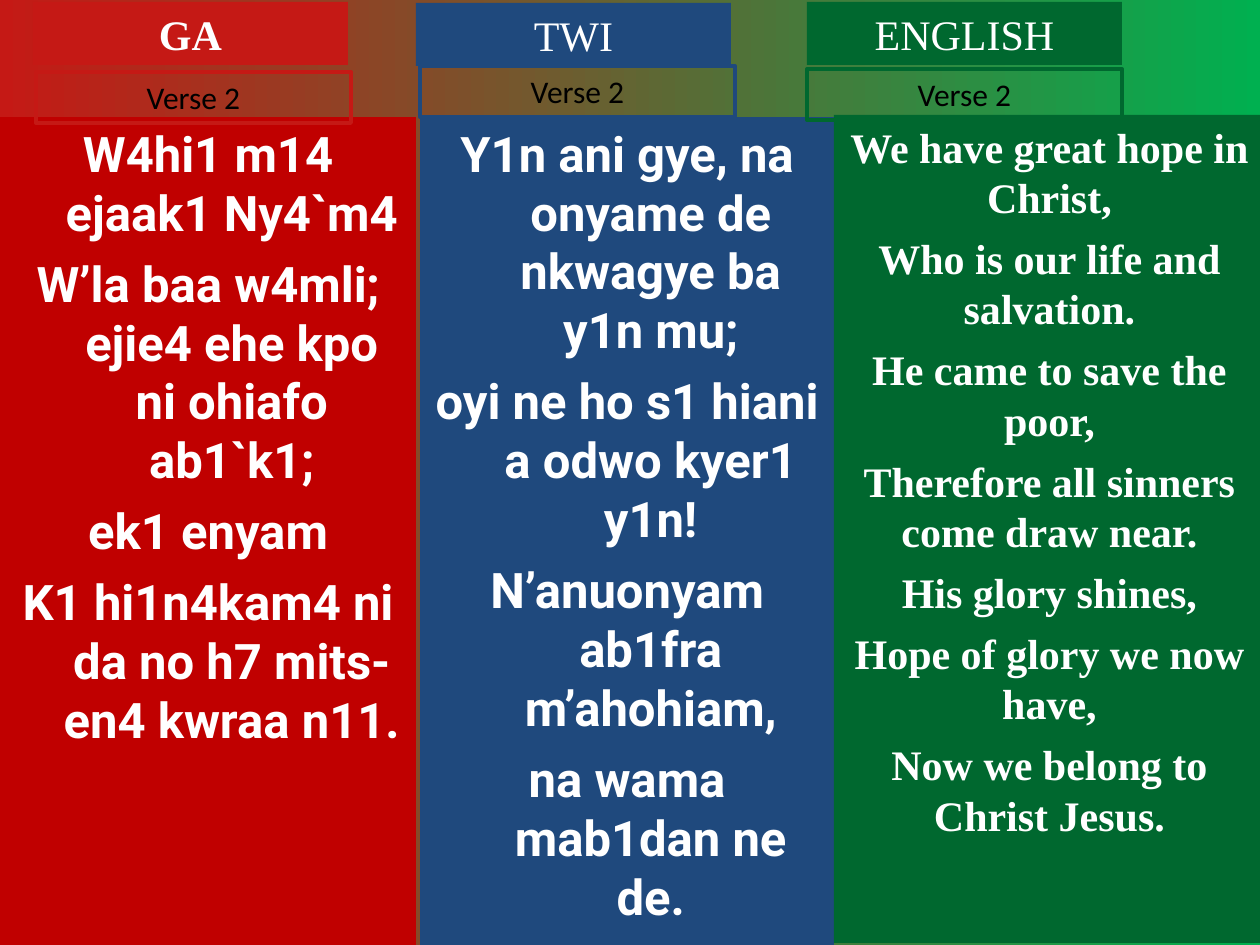
from pptx import Presentation
from pptx.dml.color import RGBColor
from pptx.enum.text import MSO_ANCHOR, MSO_AUTO_SIZE, PP_ALIGN
from pptx.oxml.ns import qn
from pptx.util import Inches, Pt
from lxml.etree import Element

PX_PER_INCH = 126
RED, BLUE, GREEN, WHITE, BLACK = "C00000", "1F497D", "00682F", "FFFFFF", "000000"
BRIGHT_RED, BRIGHT_GREEN = "C51915", "00B050"
SERIF = "Times New Roman"

GA = [
    "W4hi1 m14 ejaak1 Ny4`m4",
    "W’la baa w4mli; ejie4 ehe kpo ni ohiafo ab1`k1;",
    "ek1 enyam",
    "K1 hi1n4kam4 ni da no h7 mits- en4 kwraa n11.",
]
TWI = [
    "Y1n ani gye, na onyame de nkwagye ba y1n mu;",
    "oyi ne ho s1 hiani a odwo kyer1 y1n!",
    "N’anuonyam ab1fra m’ahohiam,",
    "na wama mab1dan ne de.",
]
ENGLISH = [
    "We have great hope in Christ,",
    "Who is our life and salvation.",
    "He came to save the poor,",
    "Therefore all sinners come draw near.",
    "His glory shines,",
    "Hope of glory we now have,",
    "Now we belong to Christ Jesus.",
]


def px(n):
    return Inches(n / PX_PER_INCH)


def color(hex_code):
    return RGBColor.from_string(hex_code)


def set_background(s):
    fill = s.background.fill
    fill.gradient()
    fill.gradient_angle = 0
    for stop, hex_code in zip(fill.gradient_stops, (BRIGHT_RED, BRIGHT_GREEN)):
        stop.color.rgb = color(hex_code)


def place(sp, left, top, width, height):
    sp.left, sp.top, sp.width, sp.height = px(left), px(top), px(width), px(height)


def set_text(sp, lines, size, font, hex_code, bold=False, gap=0):
    tf = sp.text_frame
    tf.word_wrap = True
    tf.auto_size = MSO_AUTO_SIZE.NONE
    tf.vertical_anchor = MSO_ANCHOR.TOP
    tf.text = "\n".join(lines)
    for i, p in enumerate(tf.paragraphs):
        p.alignment = PP_ALIGN.CENTER
        p.space_before = Pt(gap if i else 0)
        for r in p.runs:
            r.font.size = Pt(size)
            r.font.name = font
            r.font.bold = bold
            r.font.color.rgb = color(hex_code)


def add_lyrics(sp, box, fill, lines):
    """Fill a body placeholder with a verse, hanging indent and no bullets."""
    place(sp, *box)
    sp.fill.solid()
    sp.fill.fore_color.rgb = color(fill)
    set_text(sp, lines, 28, "Roboto", WHITE, True, 7)
    for p in sp.text_frame.paragraphs:
        p._p.get_or_add_pPr().append(Element(qn("a:buNone")))


def add_box(s, box, lines, size, font, hex_code, fill=None, line=None, bold=False, gap=0):
    sp = s.shapes.add_textbox(0, 0, 0, 0)
    place(sp, *box)
    if fill:
        sp.fill.solid()
        sp.fill.fore_color.rgb = color(fill)
    if line:
        sp.line.color.rgb = color(line)
        sp.line.width = Pt(2.25)
    set_text(sp, lines, size, font, hex_code, bold, gap)


def add_heading(s, left, top, text, fill, bold=False):
    add_box(s, (left, top, 315, 63), [text], 24, SERIF, WHITE, fill=fill, bold=bold)


def add_verse_label(s, left, top, line):
    add_box(s, (left, top, 315, 51), ["Verse 2"], 18, "Calibri", BLACK, line=line)


def main():
    prs = Presentation()
    prs.slide_width, prs.slide_height = px(1260), px(945)
    s = prs.slides.add_slide(prs.slide_layouts.get_by_name("Two Content"))
    set_background(s)
    title, ga, twi = list(s.placeholders)[:3]
    title.element.getparent().remove(title.element)

    # Lyrics columns
    add_lyrics(ga, (0, 117, 416, 828), RED, GA)
    add_lyrics(twi, (420, 117, 414, 828), BLUE, TWI)
    add_box(s, (834, 115, 431, 828), ENGLISH, 24, SERIF, WHITE,
            fill=GREEN, bold=True, gap=6)

    # Language headings
    add_heading(s, 33, 2, "GA", BRIGHT_RED, bold=True)
    add_heading(s, 416, 3, "TWI", BLUE)
    add_heading(s, 807, 2, "ENGLISH", GREEN)

    # Verse labels
    add_verse_label(s, 36, 72, BRIGHT_RED)
    add_verse_label(s, 420, 66, BLUE)
    add_verse_label(s, 807, 69, GREEN)

    prs.save("out.pptx")


if __name__ == "__main__":
    main()
